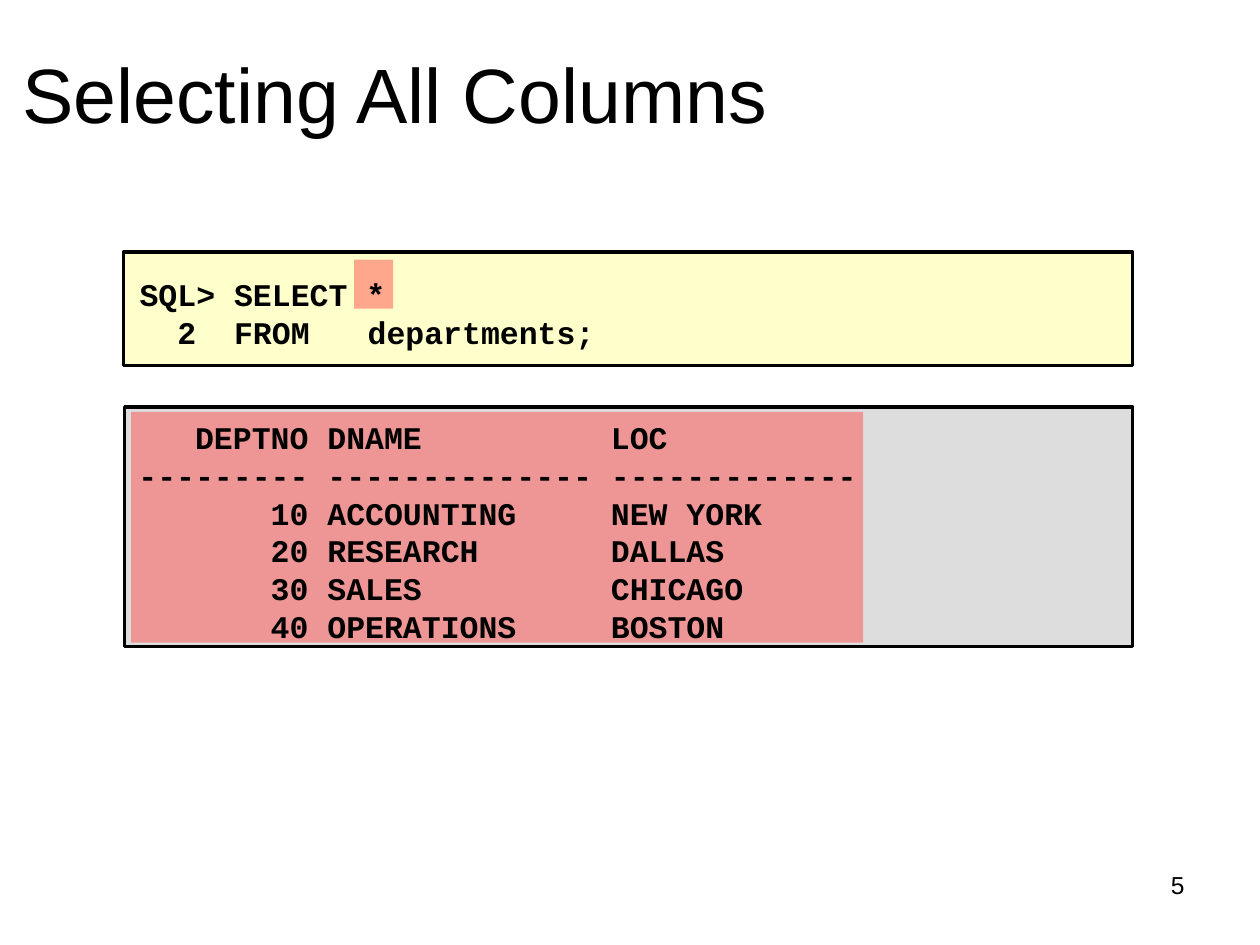
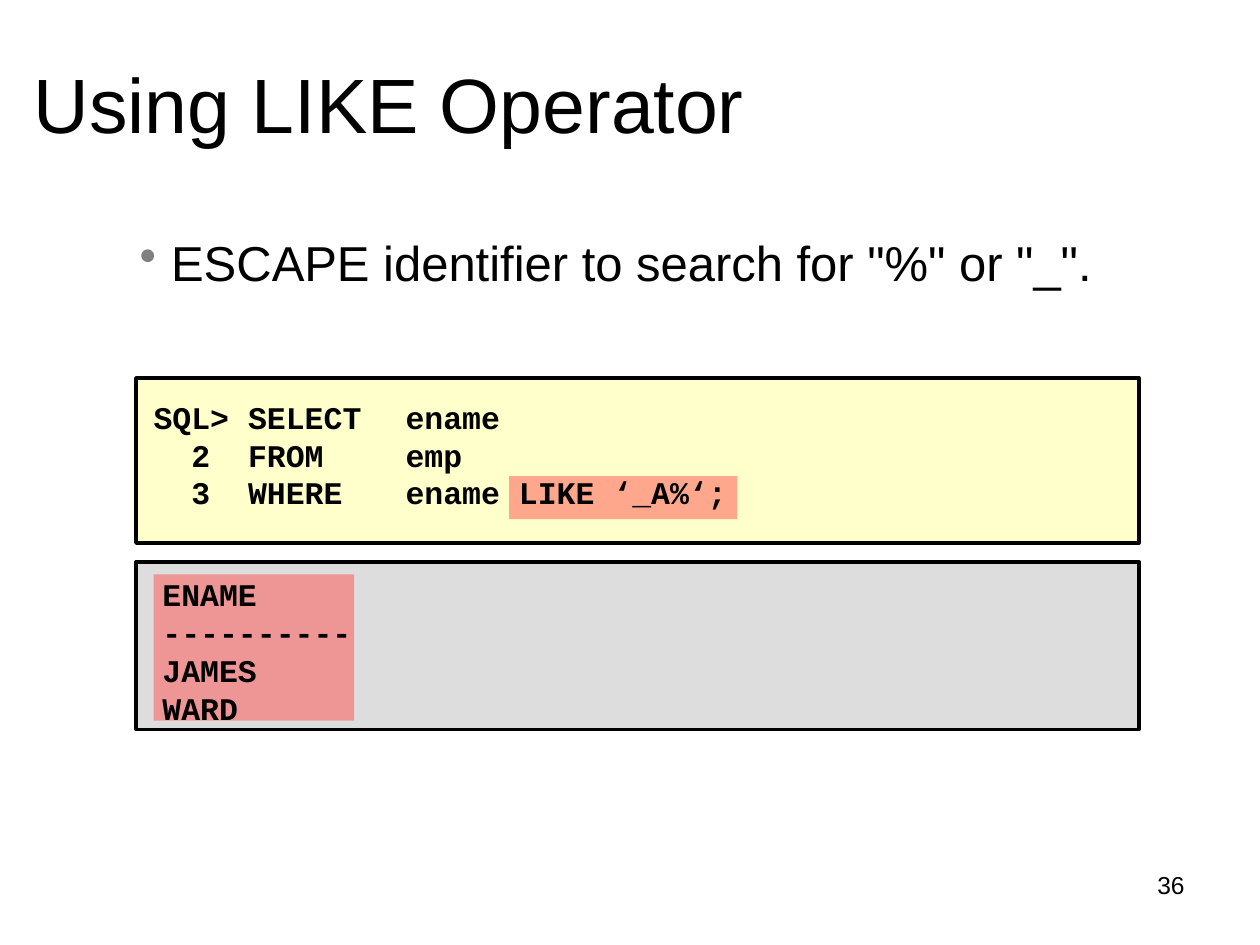
from lxml import etree
from pptx import Presentation
from pptx.dml.color import RGBColor
from pptx.enum import shapes, text
from pptx.oxml.ns import qn
from pptx.util import Inches, Pt

HUES = {"ink": "000000", "query": "FFFFCC", "result": "DDDDDD",
        "mark": "FF5050", "bullet": "808080"}
SANS, MONO = "Arial", "Courier New"


def hue(name):
    return RGBColor.from_string(HUES[name])


def rect(slide, box, fill):
    shape = slide.shapes.add_shape(shapes.MSO_SHAPE.RECTANGLE, *map(Inches, box))
    shape.shadow.inherit = False
    shape.fill.solid()
    shape.fill.fore_color.rgb = hue(fill)
    return shape


def panel(slide, box, fill):
    line = rect(slide, box, fill).line
    line.color.rgb = hue("ink")
    line.width = Pt(2)


def mark(slide, box):
    """Half-transparent highlight."""
    shape = rect(slide, box, "mark")
    shape.line.fill.background()
    color = shape.fill._xPr.find(".//" + qn("a:srgbClr"))
    etree.SubElement(color, qn("a:alpha"), val="50000")


def write(slide, box, lines, size, face=SANS, style=None):
    """Text box; style(paragraph) runs before the font is set."""
    frame = slide.shapes.add_textbox(*map(Inches, box)).text_frame
    frame.word_wrap = True
    top = 0.05 + 0.0015 * size
    frame.margin_top = Inches(top)
    frame.margin_bottom = Inches(max(0, 0.1 - top))
    for i, words in enumerate(lines):
        para = frame.add_paragraph() if i else frame.paragraphs[0]
        para.text = words
        if style:
            style(para)
        font = para.font
        font.name, font.size, font.bold = face, Pt(size), face == MONO
        font.color.rgb = hue("ink")
    return frame


def code(slide, box, lines, tabs=()):
    def style(para):
        para.line_spacing = Pt(21.6)
        if tabs:
            stops = etree.SubElement(para._p.get_or_add_pPr(), qn("a:tabLst"))
            for stop in tabs:
                etree.SubElement(stops, qn("a:tab"), pos=str(Inches(stop)), algn="l")

    return write(slide, box, lines, 18, MONO, style)


def bullet(slide, box, words):
    def style(para):
        props = para._p.get_or_add_pPr()
        props.set("marL", str(Inches(0.37)))
        props.set("indent", str(Inches(-0.25)))
        tint = etree.SubElement(props, qn("a:buClr"))
        etree.SubElement(tint, qn("a:srgbClr"), val=HUES["bullet"])
        etree.SubElement(props, qn("a:buChar"), char="•")

    write(slide, box, [words], 28, style=style)


def sheet(deck, title, left, top, number):
    """Blank slide with its title and page number."""
    slide = deck.slides.add_slide(deck.slide_layouts[6])

    def right(para):
        para.alignment = text.PP_ALIGN.RIGHT

    write(slide, (7.17, 6.83, 2.33, 0.52), [number], 14, style=right)
    write(slide, (left, top, 8.5, 1.25), [title], 44)
    return slide


def columns(deck):
    slide = sheet(deck, "Selecting All Columns", 0.08, 0.25, "5")
    panel(slide, (0.99, 3.23, 8, 1.9), "result")
    panel(slide, (0.98, 2, 8.01, 0.9), "query")
    mark(slide, (2.81, 2.06, 0.31, 0.39))
    mark(slide, (1.04, 3.27, 5.81, 1.83))
    code(slide, (1, 3.24, 7.97, 1.9), [
        "   DEPTNO DNAME          LOC",
        "--------- -------------- -------------",
        "       10 ACCOUNTING     NEW YORK",
        "       20 RESEARCH       DALLAS",
        "       30 SALES          CHICAGO",
        "       40 OPERATIONS     BOSTON"])
    query = code(slide, (1.01, 1.99, 7.96, 0.93),
                 ["SQL> SELECT *", "  2  FROM \tdepartments;"], (1.31, 1.81))
    query.vertical_anchor = text.MSO_ANCHOR.MIDDLE


def like(deck):
    slide = sheet(deck, "Using LIKE Operator", 0.17, 0.33, "36")
    bullet(slide, (0.89, 1.75, 8.36, 0.57),
           'ESCAPE identifier to search for "%" or "_".')
    panel(slide, (1.08, 3, 7.96, 1.31), "query")
    panel(slide, (1.08, 4.46, 7.96, 1.33), "result")
    mark(slide, (4.04, 3.78, 1.81, 0.34))
    mark(slide, (1.22, 4.56, 1.59, 1.16))
    code(slide, (1.12, 3.08, 4.75, 1), [
        "SQL> SELECT\tename",
        "  2  FROM\temp",
        "  3  WHERE\tename LIKE ‘_A%‘;"], (1.31, 2))
    code(slide, (1.19, 4.49, 1.85, 1.3),
         ["ENAME", "----------", "JAMES", "WARD"])


def main():
    deck = Presentation()
    deck.slide_width, deck.slide_height = Inches(10), Inches(7.5)
    columns(deck)
    like(deck)
    deck.save("out.pptx")


if __name__ == "__main__":
    main()
